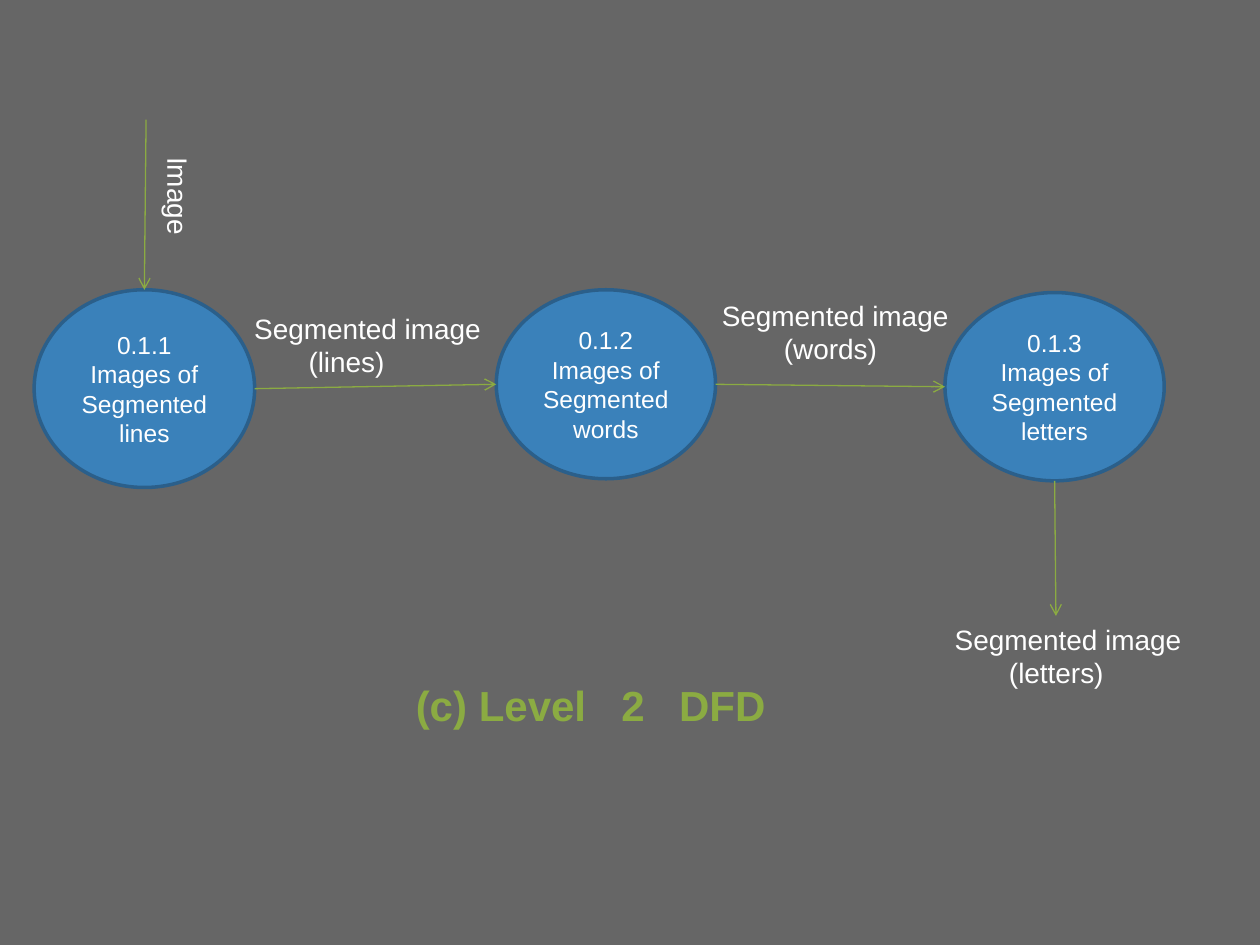
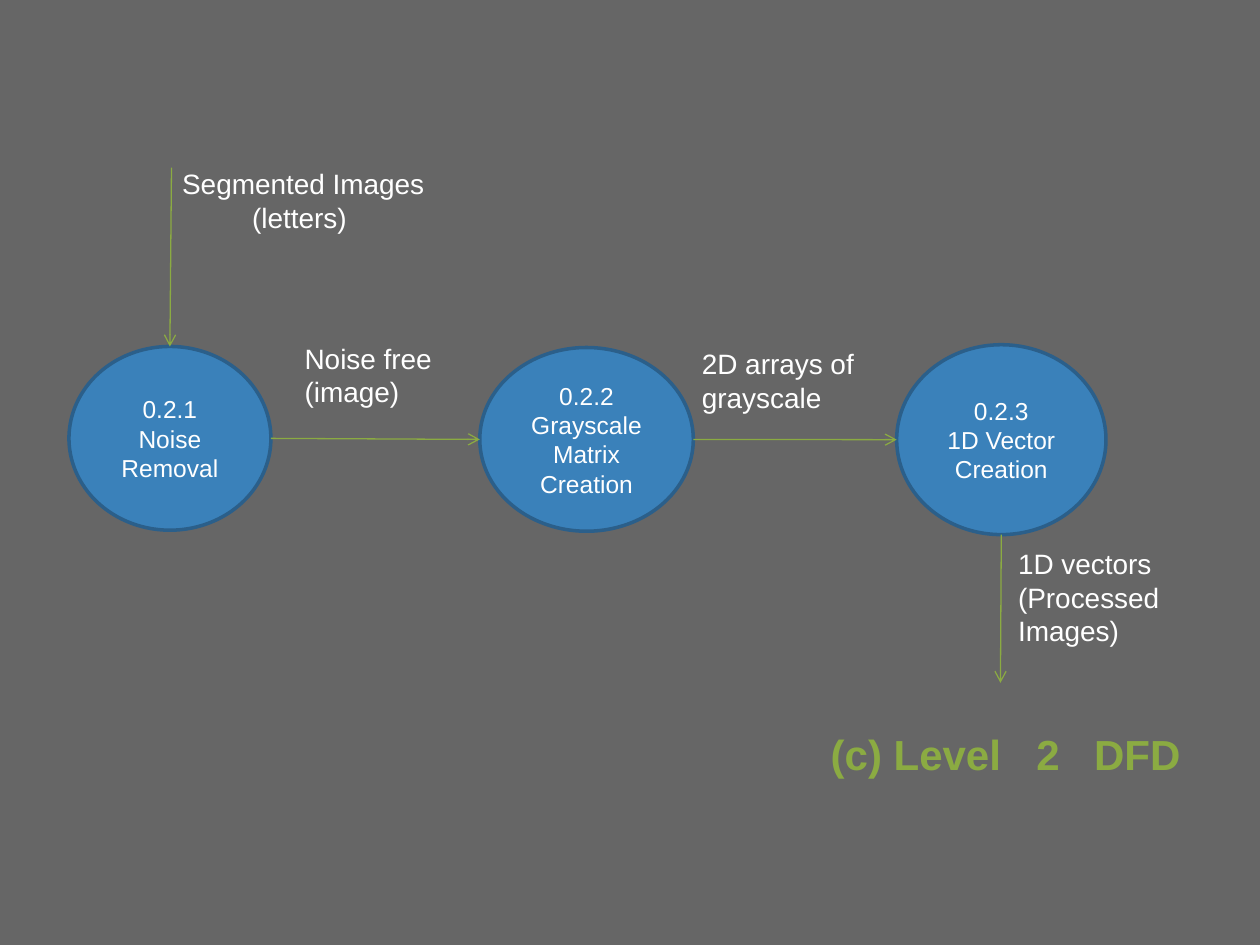
from lxml import etree
from pptx import Presentation
from pptx.dml.color import RGBColor
from pptx.enum import shapes, text
from pptx.oxml import ns
from pptx.util import Pt

GREY, BLUE, NAVY, GREEN, WHITE = "666666", "3A81BA", "2B5F8A", "8BAB42", "FFFFFF"
CAPTION_TABS = (117.5, 150.5)

# Circles: left, top, width, height, lines. Labels: left, top, width, height,
# rotation, indent of the second line, lines.
diagrams = [
    {
        "caption": (230.4, 384.5, 255, 36),
        "start": (83.5, 68.4),
        "end": (603.4, 352),
        "circles": [
            (19.5, 165.6, 126, 113, ["0.1.1", "Images of", "Segmented lines"]),
            (283.6, 165.6, 125.3, 108, ["0.1.2", "Images of", "Segmented", "words"]),
            (540, 167.2, 125.3, 107.6, ["0.1.3", "Images of", "Segmented", "letters"]),
        ],
        "labels": [
            (72, 99.4, 59.8, 26.6, 90, 0, ["Image"]),
            (138.2, 174.2, 167, 46, 0, 31, ["Segmented image", "(lines)"]),
            (405.4, 167, 200, 46, 0, 35.5, ["Segmented image", "(words)"]),
            (538.5, 352, 147, 46, 0, 31, ["Segmented image", "(letters)"]),
        ],
    },
    {
        "caption": (467.5, 412.5, 229, 36),
        "start": (98, 95.8),
        "end": (571.7, 390.2),
        "circles": [
            (39.4, 198, 115.4, 105, ["0.2.1", "Noise", "Removal"]),
            (274.2, 198.6, 122, 105, ["0.2.2", "Grayscale", "Matrix", "Creation"]),
            (512.4, 197, 119.6, 108.5, ["0.2.3", "1D Vector", "Creation"]),
        ],
        "labels": [
            (97, 91.6, 178.6, 46, 0, 40, ["Segmented Images", "(letters)"]),
            (167, 191.5, 93, 46, 0, 0, ["Noise free", "(image)"]),
            (394, 194.5, 119.5, 46, 0, 0, ["2D arrays of", "grayscale"]),
            (574.7, 308.9, 128, 65.5, 0, 0, ["1D vectors", "(Processed Images)"]),
        ],
    },
]


def color(value):
    return RGBColor.from_string(value)


def write(box, lines, size, ink, align, bold=False):
    """Fill a shape with one paragraph per line, all in one style."""
    frame = box.text_frame
    frame.text = "\n".join(lines)
    for para in frame.paragraphs:
        para.alignment = align
        for span in para.runs:
            span.font.name = "Arial"
            span.font.size = Pt(size)
            span.font.bold = bold
            span.font.color.rgb = color(ink)
    return frame


deck = Presentation()
deck.slide_width, deck.slide_height = Pt(720), Pt(540)
backdrop = deck.slide_master.background.fill
backdrop.solid()
backdrop.fore_color.rgb = color(GREY)

for diagram in diagrams:
    page = deck.slides.add_slide(deck.slide_layouts[5])

    # Caption, with tab stops for the wide gaps
    caption = page.shapes.title
    caption.left, caption.top, caption.width, caption.height = map(Pt, diagram["caption"])
    frame = write(caption, ["(c) Level\t2\tDFD"], 24, GREEN, text.PP_ALIGN.LEFT, True)
    frame.vertical_anchor = text.MSO_ANCHOR.TOP
    frame.auto_size = text.MSO_AUTO_SIZE.NONE
    properties = frame.paragraphs[0]._p.get_or_add_pPr()
    tabs = etree.SubElement(properties, ns.qn("a:tabLst"))
    for stop in CAPTION_TABS:
        etree.SubElement(tabs, ns.qn("a:tab"), pos=str(Pt(stop)), algn="l")

    # Processes
    for left, top, width, height, lines in diagram["circles"]:
        circle = page.shapes.add_shape(
            shapes.MSO_SHAPE.OVAL, Pt(left), Pt(top), Pt(width), Pt(height))
        circle.shadow.inherit = False
        circle.fill.solid()
        circle.fill.fore_color.rgb = color(BLUE)
        circle.line.color.rgb = color(NAVY)
        circle.line.width = Pt(2)
        frame = write(circle, lines, 14, WHITE, text.PP_ALIGN.CENTER)
        frame.vertical_anchor = text.MSO_ANCHOR.MIDDLE

    # Flows: into the first circle, from each to the next, out of the last
    circles = diagram["circles"]
    first, last = circles[0], circles[-1]
    flows = [(*diagram["start"], first[0] + first[2] / 2, first[1])]
    for here, following in zip(circles, circles[1:]):
        flows.append((here[0] + here[2], here[1] + here[3] / 2,
                      following[0], following[1] + following[3] / 2))
    flows.append((last[0] + last[2] / 2, last[1] + last[3], *diagram["end"]))
    for flow in flows:
        arrow = page.shapes.add_connector(shapes.MSO_CONNECTOR.STRAIGHT, *map(Pt, flow))
        arrow.line.color.rgb = color(GREEN)
        arrow.line.width = Pt(0.75)
        etree.SubElement(arrow.line._get_or_add_ln(), ns.qn("a:tailEnd"), type="arrow")
        etree.SubElement(arrow._element.spPr, ns.qn("a:effectLst"))

    # Data names
    for left, top, width, height, rotation, indent, lines in diagram["labels"]:
        label = page.shapes.add_textbox(Pt(left), Pt(top), Pt(width), Pt(height))
        label.rotation = rotation
        frame = write(label, lines, 16, WHITE, text.PP_ALIGN.LEFT)
        frame.word_wrap = True
        frame.auto_size = text.MSO_AUTO_SIZE.SHAPE_TO_FIT_TEXT
        if indent:
            frame.paragraphs[1]._p.get_or_add_pPr().set("marL", str(Pt(indent)))

deck.save("out.pptx")
